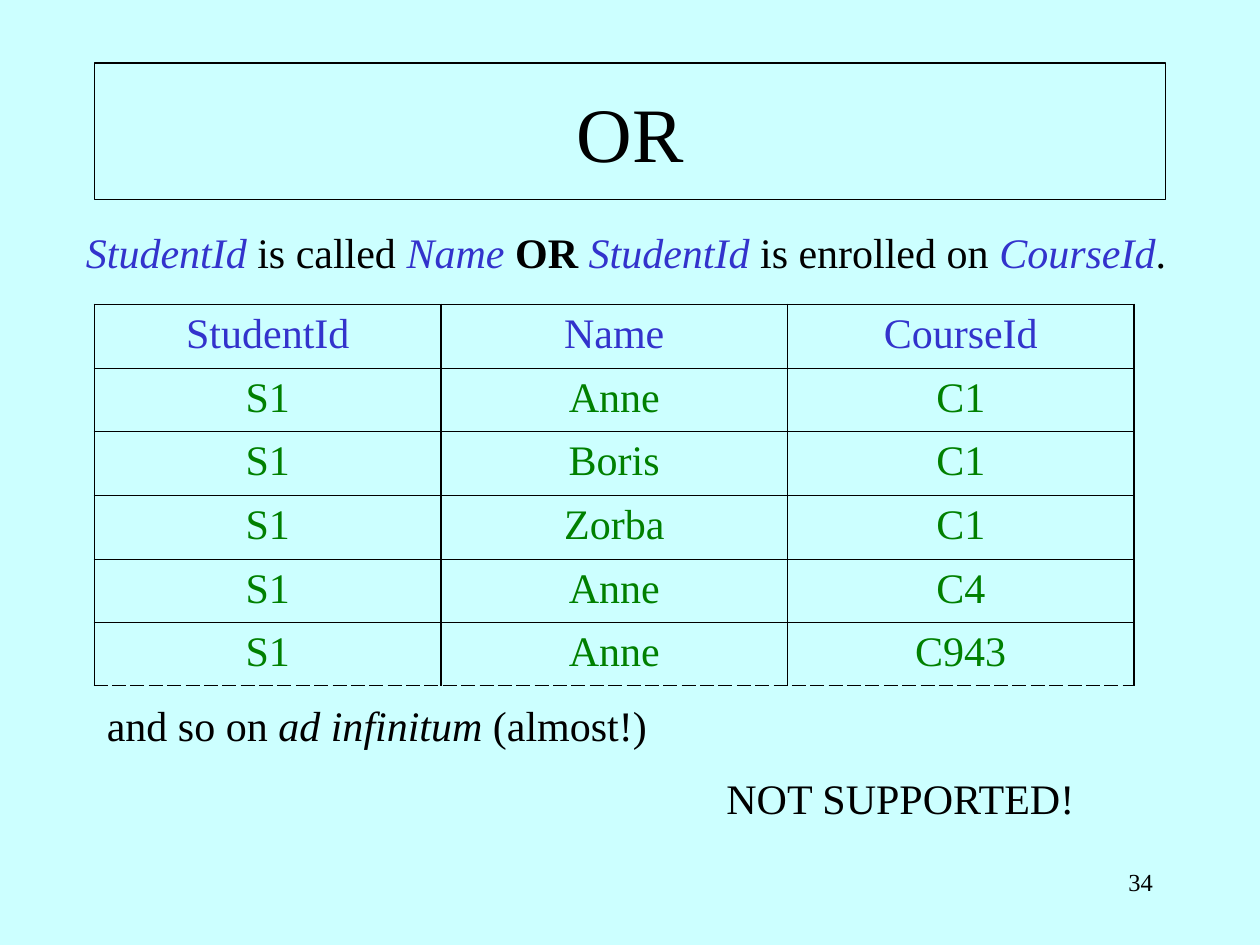
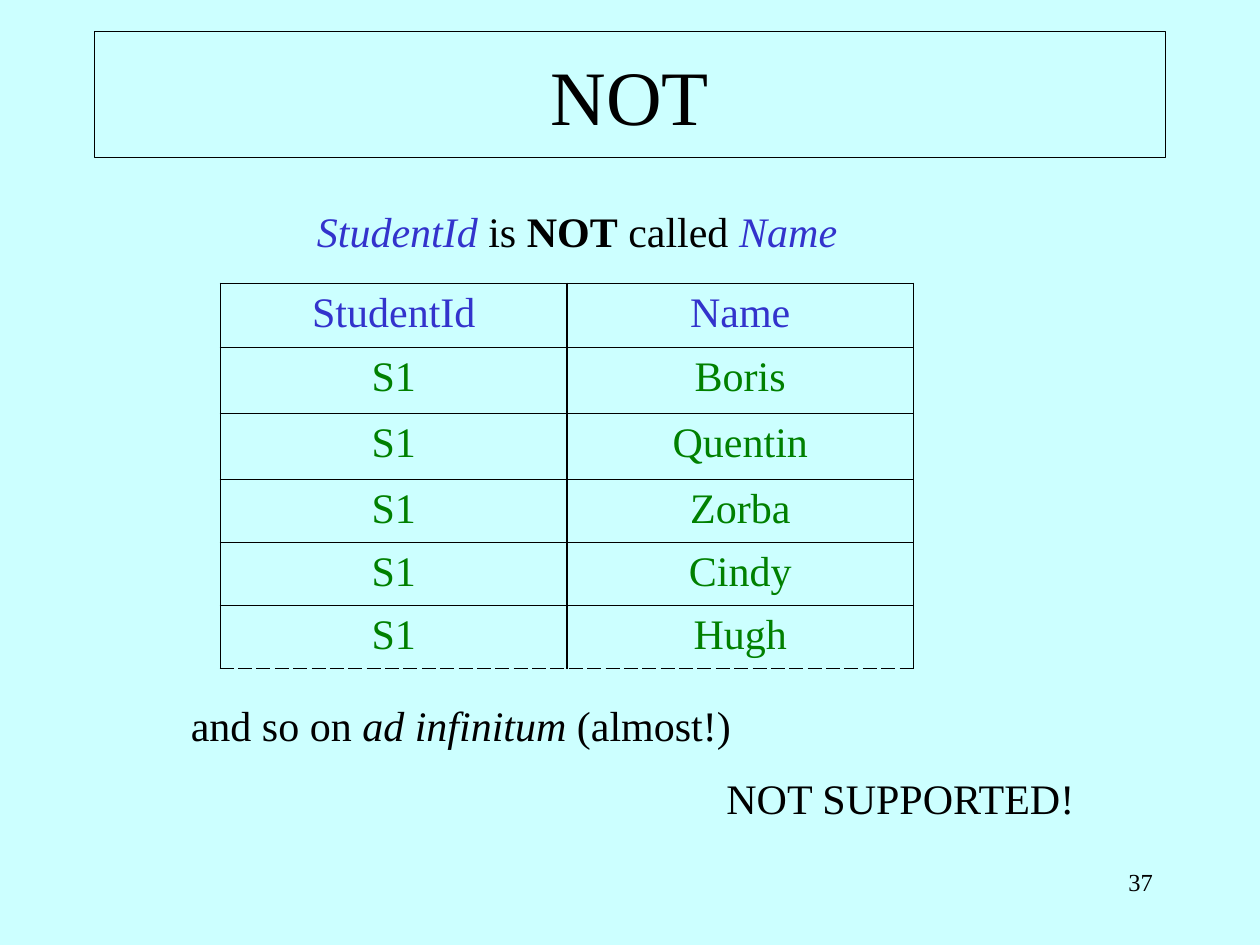
import pptx
import pptx.util
import pptx.oxml.ns
import pptx.dml.color
import pptx.enum.text
import lxml.etree

PX = 7620
FONT = "Times New Roman"
COLORS = {"back": "CCFFFF", "ink": "000000", "name": "3333CC", "value": "008000"}
ALIGN = pptx.enum.text.PP_ALIGN
ANCHOR = pptx.enum.text.MSO_ANCHOR
AUTO = pptx.enum.text.MSO_AUTO_SIZE
THIN, THICK = 5715, 13716
VAR = {"color": "name", "italic": True}
BOLD = {"bold": True}
COL_W = 330


def write(p, text, size=24, color="ink", bold=False, italic=False, align=ALIGN.LEFT):
    p.alignment = align
    r = p.add_run()
    r.text = text
    r.font.name = FONT
    r.font.size = pptx.util.Pt(size)
    r.font.bold = bold
    r.font.italic = italic
    r.font.color.rgb = pptx.dml.color.RGBColor.from_string(COLORS[color])


def add_border(cell, side, width, dash="solid"):
    tcPr = cell._tc.get_or_add_tcPr()
    ln = lxml.etree.SubElement(tcPr, pptx.oxml.ns.qn("a:ln" + side), w=str(width))
    fill = lxml.etree.SubElement(ln, pptx.oxml.ns.qn("a:solidFill"))
    lxml.etree.SubElement(fill, pptx.oxml.ns.qn("a:srgbClr"), val=COLORS["ink"])
    lxml.etree.SubElement(ln, pptx.oxml.ns.qn("a:prstDash"), val=dash)


slides = [
    {
        "title": "OR", "title_top": 60, "title_h": 130, "number": "34",
        "predicate": [("StudentId", VAR), (" is called ", {}), ("Name ", VAR),
                      ("OR ", BOLD), ("StudentId", VAR),
                      (" is enrolled on ", {}), ("CourseId", VAR), (".", {})],
        "predicate_box": (70, 210, 1060, 60),
        "table_at": (90, 290), "row_heights": [61, 60, 61, 61, 60, 60],
        "rows": [("StudentId", "Name", "CourseId"),
                 ("S1", "Anne", "C1"), ("S1", "Boris", "C1"),
                 ("S1", "Zorba", "C1"), ("S1", "Anne", "C4"),
                 ("S1", "Anne", "C943")],
        "and_so_on_left": 90,
    },
    {
        "title": "NOT", "title_top": 30, "title_h": 120, "number": "37",
        "predicate": [("StudentId", VAR), (" is ", {}), ("NOT", BOLD),
                      (" called ", {}), ("Name", VAR)],
        "predicate_box": (290, 190, 520, 60),
        "table_at": (210, 270), "row_heights": [61, 63, 63, 60, 60, 60],
        "rows": [("StudentId", "Name"), ("S1", "Boris"), ("S1", "Quentin"),
                 ("S1", "Zorba"), ("S1", "Cindy"), ("S1", "Hugh")],
        "and_so_on_left": 170,
    },
]

prs = pptx.Presentation()
prs.slide_width = 1200 * PX
prs.slide_height = 900 * PX
back = prs.slide_master.background.fill
back.solid()
back.fore_color.rgb = pptx.dml.color.RGBColor.from_string(COLORS["back"])

for info in slides:
    slide = prs.slides.add_slide(prs.slide_layouts[5])

    sp = slide.shapes.title
    sp.left, sp.top = 90 * PX, info["title_top"] * PX
    sp.width, sp.height = 1020 * PX, info["title_h"] * PX
    sp.line.color.rgb = pptx.dml.color.RGBColor.from_string(COLORS["ink"])
    sp.line.width = pptx.util.Pt(0.75)
    tf = sp.text_frame
    tf.auto_size = AUTO.NONE
    tf.vertical_anchor = ANCHOR.MIDDLE
    write(tf.paragraphs[0], info["title"], size=44, align=ALIGN.CENTER)

    almost = [("and so on ", {}), ("ad infinitum", {"italic": True}), (" (almost!)", {})]
    number = [(info["number"], {"size": 14, "align": ALIGN.RIGHT})]
    texts = [
        (info["predicate_box"], info["predicate"], False),
        ((info["and_so_on_left"], 660, 538, 60), almost, False),
        ((680, 730, 360, 60), [("NOT SUPPORTED!", {})], False),
        ((860, 820, 250, 60), number, True),
    ]
    for box, runs, wrap in texts:
        sp = slide.shapes.add_textbox(*[n * PX for n in box])
        tf = sp.text_frame
        tf.word_wrap = wrap
        tf.auto_size = AUTO.NONE
        for text, style in runs:
            write(tf.paragraphs[0], text, **style)

    rows, heights = info["rows"], info["row_heights"]
    left, top = info["table_at"]
    cols = len(rows[0])
    table = slide.shapes.add_table(len(rows), cols, left * PX, top * PX,
                                   cols * COL_W * PX, sum(heights) * PX).table
    table.first_row = False
    table.horz_banding = False
    last = len(rows) - 1
    for i, row in enumerate(rows):
        table.rows[i].height = heights[i] * PX
        for j, text in enumerate(row):
            cell = table.cell(i, j)
            add_border(cell, "L", THICK)
            add_border(cell, "R", THICK)
            add_border(cell, "T", THICK if i < 2 else THIN)
            add_border(cell, "B", THICK if i == 0 else THIN,
                       "dash" if i == last else "solid")
            cell.fill.background()
            p = cell.text_frame.paragraphs[0]
            p.space_before = pptx.util.Pt(6)
            write(p, text, color="value" if i else "name", align=ALIGN.CENTER)

prs.save("out.pptx")
